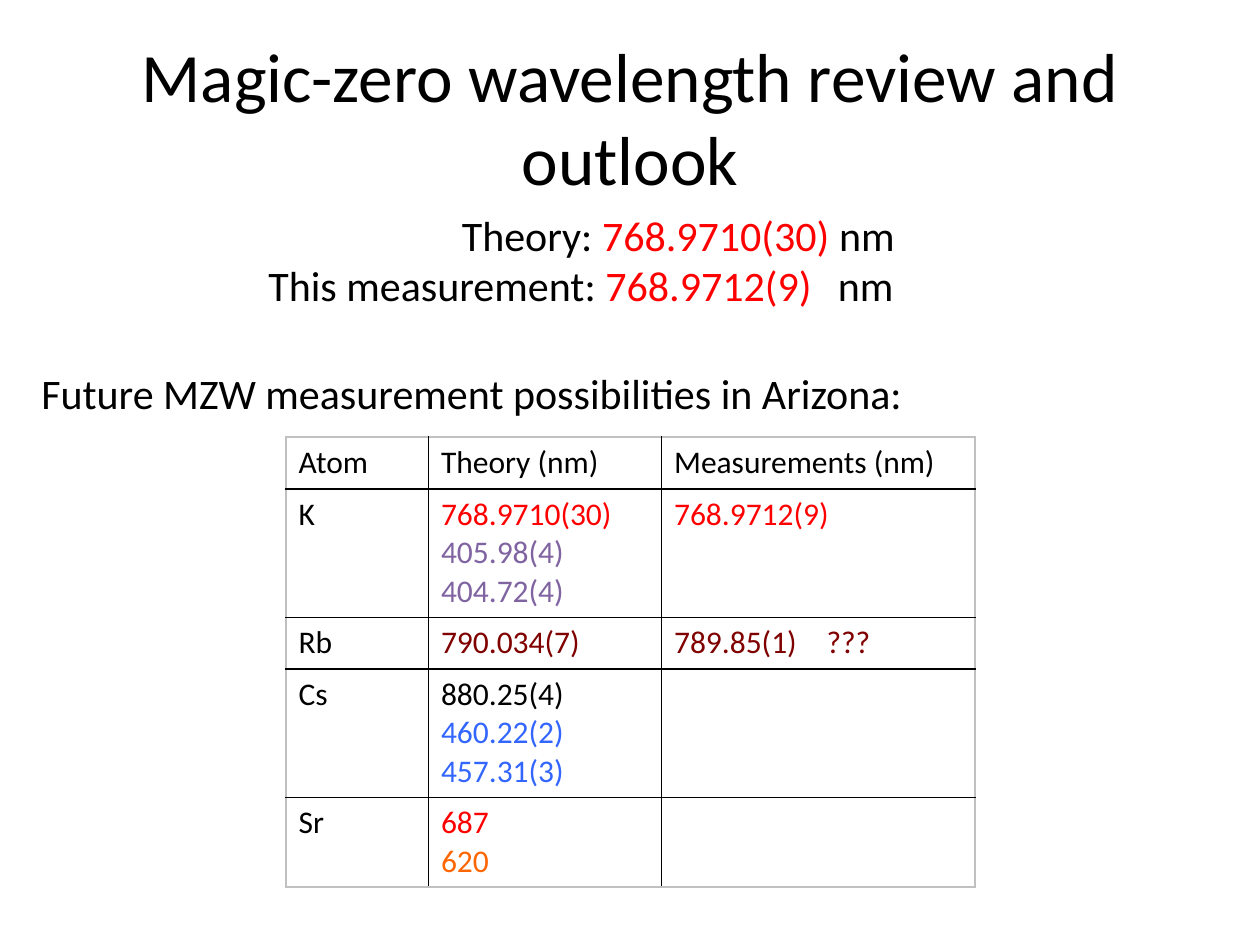
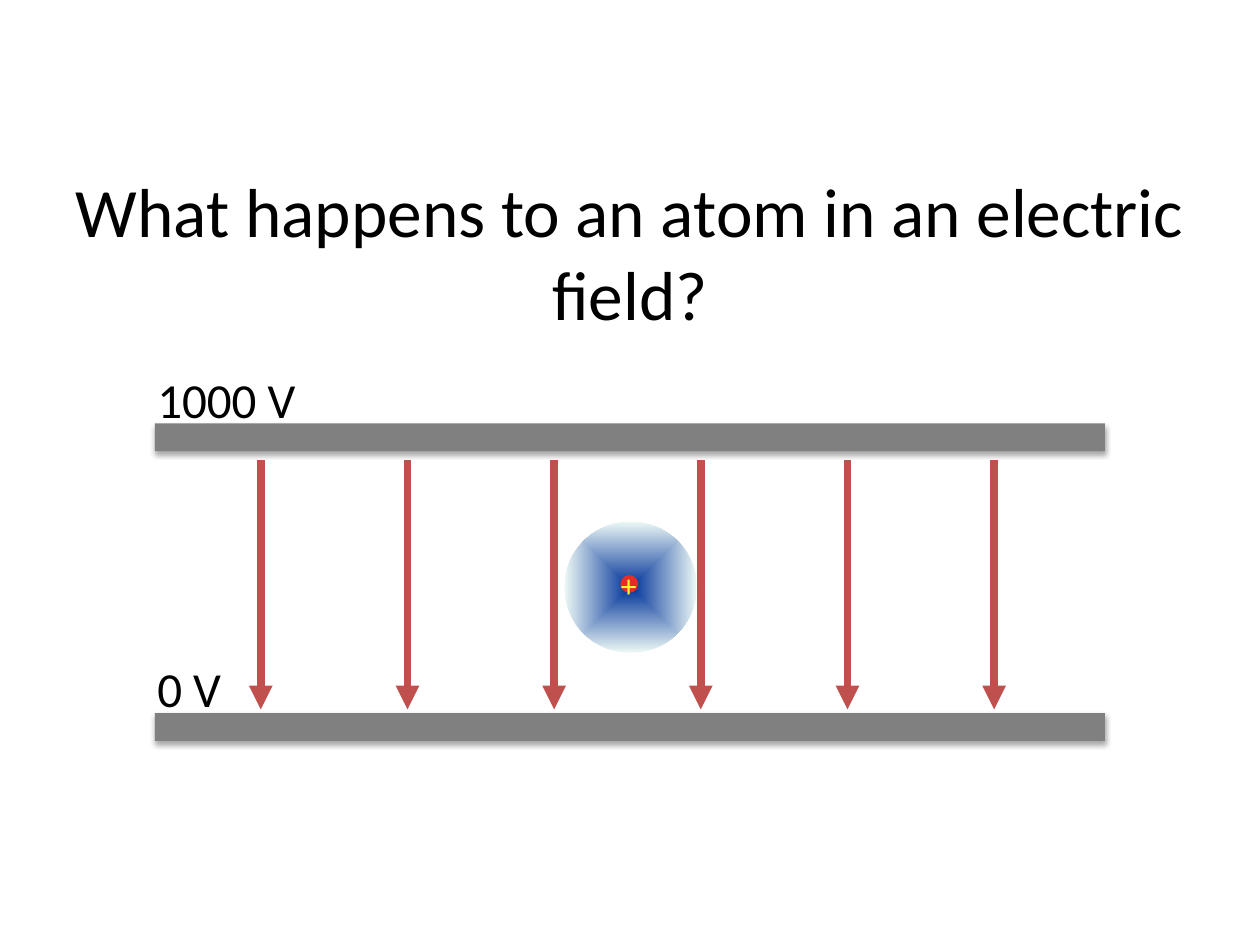
"""Build two slides on magic-zero wavelengths and an atom in an electric field."""
import pptx
import pptx.dml.color
import pptx.enum.shapes
import pptx.enum.text
import pptx.oxml
import pptx.oxml.ns
import pptx.util
from lxml import etree

Inches, Pt = pptx.util.Inches, pptx.util.Pt
RGB = pptx.dml.color.RGBColor.from_string
SHAPE = pptx.enum.shapes.MSO_SHAPE
ALIGN = pptx.enum.text.PP_ALIGN
qn = pptx.oxml.ns.qn
NS = pptx.oxml.ns.nsdecls("a")
COLORS = {
    "black": "000000", "white": "FFFFFF", "red": "FF0000", "violet": "8064A2",
    "maroon": "800000", "blue": "3366FF", "orange": "FF6600", "edge": "C0C0C0",
    "plate": "808080", "core": "003399", "cloud": "ECF8F5",
    "nucleus": "E82B26", "plus": "FFF736", "field": "C0504D",
}
FRAME_FORMAT = {
    "auto_size": pptx.enum.text.MSO_AUTO_SIZE.NONE,
    "vertical_anchor": pptx.enum.text.MSO_ANCHOR.TOP,
    "word_wrap": True,
}
TITLE_FORMAT = FRAME_FORMAT | {"vertical_anchor": pptx.enum.text.MSO_ANCHOR.MIDDLE}
LABEL_FORMAT = FRAME_FORMAT | {"word_wrap": False}


def write(frame, lines, size, align=ALIGN.LEFT, tab=None):
    """Write lines made of (text, colour) runs."""
    for number, runs in enumerate(lines):
        paragraph = frame.paragraphs[0] if number == 0 else frame.add_paragraph()
        paragraph.alignment = align
        if any("\t" in text for text, _ in runs):
            paragraph.alignment = ALIGN.LEFT
            tabs = etree.SubElement(paragraph._p.get_or_add_pPr(), qn("a:tabLst"))
            etree.SubElement(tabs, qn("a:tab"), pos=str(Inches(tab)), algn="l")
        for text, color in runs:
            run = paragraph.add_run()
            run.text = text
            for key, value in {"name": "Calibri", "size": Pt(size)}.items():
                setattr(run.font, key, value)
            run.font.color.rgb = RGB(COLORS[color])


def label(shapes, box, lines, size, look=LABEL_FORMAT, align=ALIGN.LEFT, tab=None):
    """Add a text box and return it."""
    textbox = shapes.add_textbox(*map(Inches, box))
    for key, value in look.items():
        setattr(textbox.text_frame, key, value)
    write(textbox.text_frame, lines, size, align, tab)
    return textbox


deck = pptx.Presentation()
deck.slide_width, deck.slide_height = Inches(10), Inches(7.5)

slides = []
for heading, top in [("Magic-zero wavelength review and outlook", 0.3),
                     ("What happens to an atom in an electric field?", 1.37)]:
    slide = deck.slides.add_slide(deck.slide_layouts[5])
    title = slide.shapes.title
    place = {"left": 0.5, "top": top, "width": 9, "height": 1.25}
    for key, value in place.items():
        setattr(title, key, Inches(value))
    for key, value in TITLE_FORMAT.items():
        setattr(title.text_frame, key, value)
    write(title.text_frame, [[(heading, "black")]], 39.6, ALIGN.CENTER)
    slides.append(slide)
review, atom_field = slides

wavelengths = [
    [[("Atom", "black")], [("Theory (nm)", "black")], [("Measurements (nm)", "black")]],
    [[("K", "black")],
     [("768.9710(30)", "red"), ("405.98(4)", "violet"), ("404.72(4)", "violet")],
     [("768.9712(9)", "red")]],
    [[("Rb", "black")], [("790.034(7)", "maroon")], [("789.85(1)\t???", "maroon")]],
    [[("Cs", "black")],
     [("880.25(4)", "black"), ("460.22(2)", "blue"), ("457.31(3)", "blue")], []],
    [[("Sr", "black")], [("687", "red"), ("620", "orange")], []],
]
widths = [1.13, 1.85, 2.49]
heights = [0.41, 1.02, 0.41, 1.02, 0.71]
table = review.shapes.add_table(
    len(heights), len(widths), Inches(2.27), Inches(3.47),
    Inches(sum(widths)), Inches(sum(heights))).table
table.first_row = table.horz_banding = False
for column, width in zip(table.columns, widths):
    column.width = Inches(width)
for row, height in zip(table.rows, heights):
    row.height = Inches(height)
for r, atom in enumerate(wavelengths):
    for c, values in enumerate(atom):
        cell = table.cell(r, c)
        write(cell.text_frame, [[value] for value in values], 18, tab=1.21)
        outer = {"lnL": c == 0, "lnR": c == len(widths) - 1,
                 "lnT": r == 0, "lnB": r == len(heights) - 1}
        for side, is_outer in outer.items():
            color = COLORS["edge" if is_outer else "black"]
            cell._tc.get_or_add_tcPr().append(pptx.oxml.parse_xml(
                f'<a:{side} {NS} w="{Pt(1)}"><a:solidFill><a:srgbClr val="{color}"/>'
                f'</a:solidFill></a:{side}>'))
        cell.fill.background()

comparison = label(
    review.shapes, (1.81, 1.61, 5.39, 0.91),
    [[("Theory: ", "black"), ("768.9710(30) ", "red"), ("nm", "black")],
     [("This measurement: ", "black"), ("768.9712(9)", "red"), ("\tnm", "black")]],
    24, FRAME_FORMAT, ALIGN.RIGHT, 4.52)
comparison.text_frame.margin_left = Inches(0.32)
comparison.fill.solid()
comparison.fill.fore_color.rgb = RGB(COLORS["white"])
label(review.shapes, (0.23, 2.87, 7.77, 0.91),
      [[("Future MZW measurement possibilities in Arizona:", "black")]], 24, FRAME_FORMAT)

for top in (3.36, 5.66):
    plate = atom_field.shapes.add_shape(
        SHAPE.RECTANGLE, *map(Inches, (1.23, top, 7.54, 0.22)))
    plate.fill.solid()
    plate.fill.fore_color.rgb = RGB(COLORS["plate"])
    plate.line.fill.background()
    plate.shadow.inherit = False
    plate._element.spPr.find(qn("a:effectLst")).append(pptx.oxml.parse_xml(
        f'<a:outerShdw {NS} blurRad="{Pt(3.1)}" dist="{Pt(1.8)}" dir="5400000" '
        f'rotWithShape="0"><a:srgbClr val="{COLORS["black"]}"><a:alpha val="35000"/>'
        f'</a:srgbClr></a:outerShdw>'))

cloud = atom_field.shapes.add_shape(
    SHAPE.OVAL, *map(Inches, (4.48, 4.14, 1.05, 1.04)))
cloud.line.fill.background()
cloud.shadow.inherit = False
cloud._element.spPr.find(qn("a:prstGeom")).addnext(pptx.oxml.parse_xml(
    f'<a:gradFill {NS} rotWithShape="1"><a:gsLst>'
    f'<a:gs pos="0"><a:srgbClr val="{COLORS["core"]}"/></a:gs>'
    f'<a:gs pos="100000"><a:srgbClr val="{COLORS["cloud"]}"/></a:gs></a:gsLst>'
    f'<a:path path="shape"><a:fillToRect l="50000" t="50000" r="50000" b="50000"/>'
    f'</a:path></a:gradFill>'))

proton = atom_field.shapes.add_group_shape()
nucleus = proton.shapes.add_shape(SHAPE.OVAL, *map(Inches, (4.93, 4.57, 0.13, 0.13)))
nucleus.fill.solid()
for paint in (nucleus.fill.fore_color, nucleus.line.color):
    paint.rgb = RGB(COLORS["nucleus"])
nucleus.line.width = Pt(0.75)
nucleus.shadow.inherit = False
label(proton.shapes, (4.83, 4.44, 0.31, 0.4), [[("+", "plus")]], 18)

first, last, count = 2.07, 7.89, 6
for i in range(count):
    x = Inches(first + i * (last - first) / (count - 1))
    arrow = atom_field.shapes.add_connector(
        pptx.enum.shapes.MSO_CONNECTOR.STRAIGHT, x, Inches(3.65), x, Inches(5.63))
    arrow.line.width = Pt(4.5)
    arrow.line.color.rgb = RGB(COLORS["field"])
    etree.SubElement(arrow.line._get_or_add_ln(), qn("a:tailEnd"), type="triangle")
    etree.SubElement(arrow._element.spPr, qn("a:effectLst"))

for voltage, top, width in [("1000 V", 2.88, 1.31), ("0 V", 5.18, 0.72)]:
    label(atom_field.shapes, (1.15, top, width, 0.57), [[(voltage, "black")]], 28)

deck.save("out.pptx")
